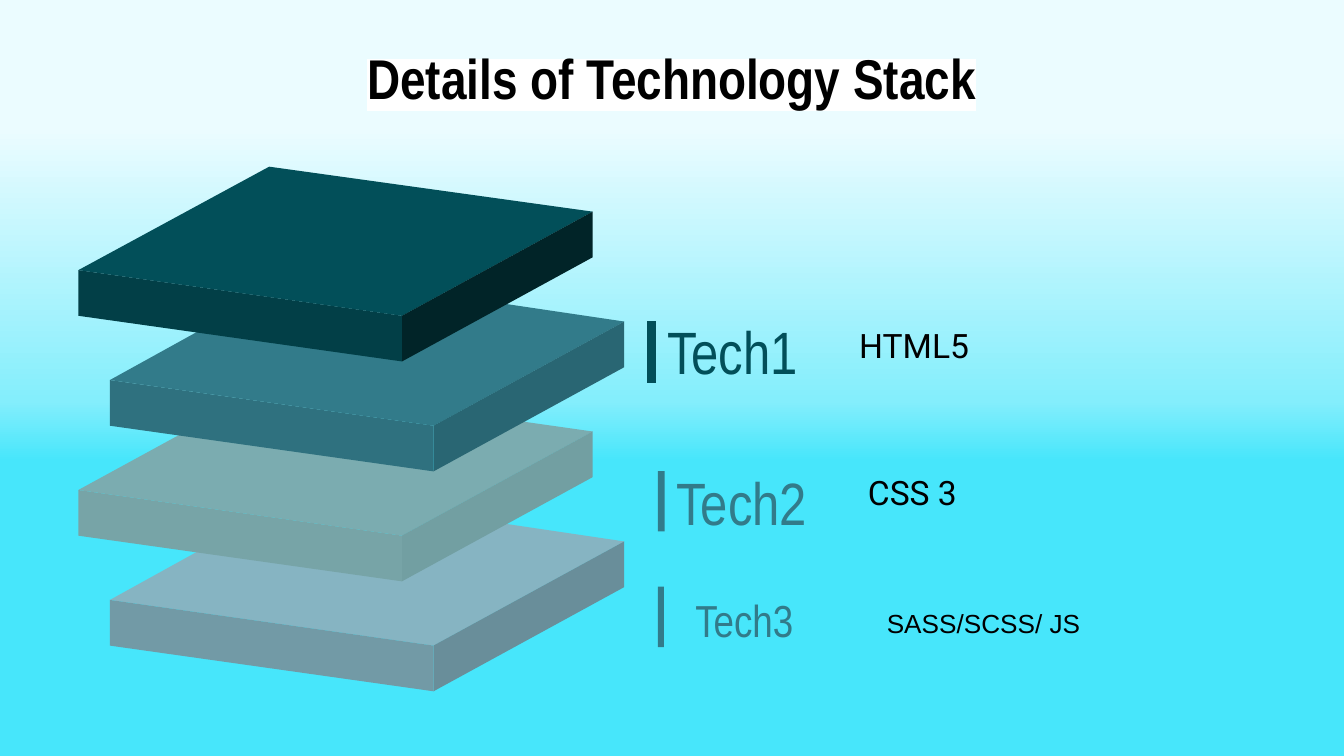
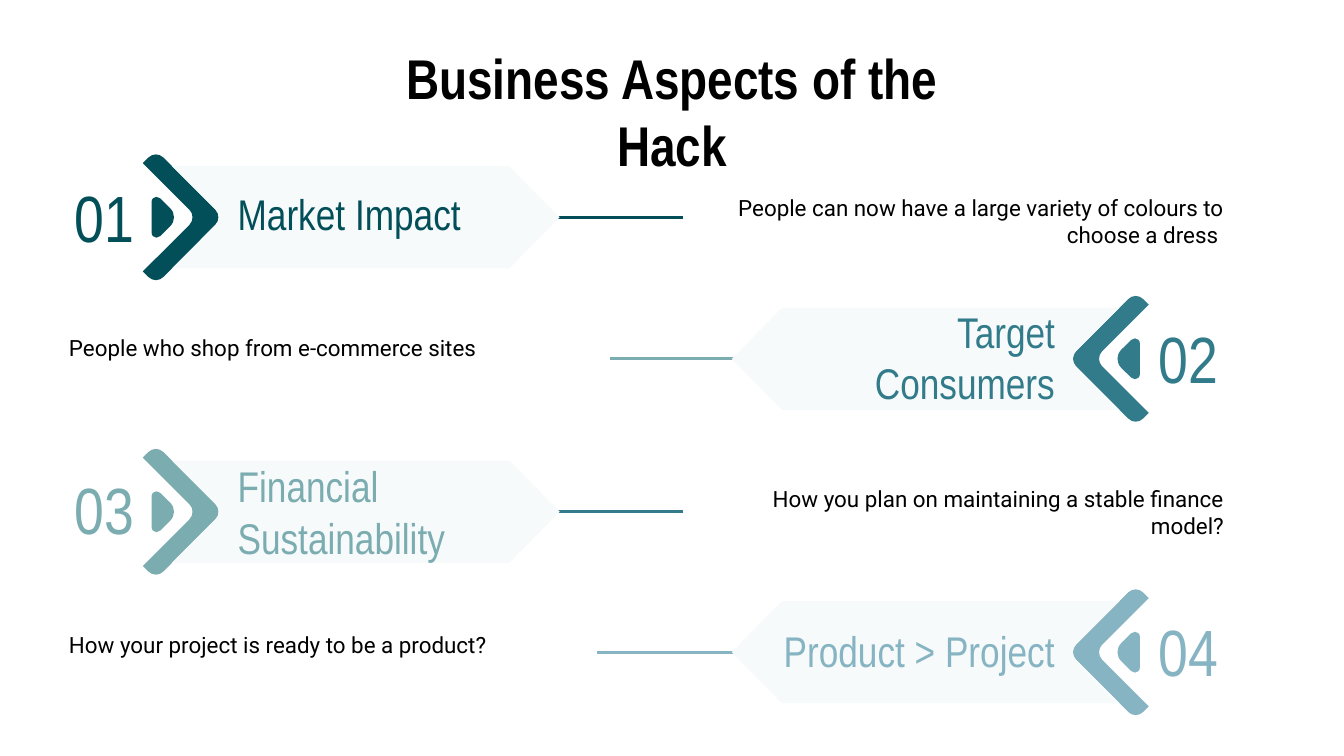
from dataclasses import dataclass
from typing import NamedTuple

from lxml.etree import SubElement
from pptx import Presentation
from pptx.dml.color import RGBColor
from pptx.enum.shapes import MSO_CONNECTOR as Connector, MSO_SHAPE as Preset
from pptx.enum.text import MSO_ANCHOR as Anchor, MSO_AUTO_SIZE as AutoSize, PP_ALIGN as Align
from pptx.oxml.ns import qn
from pptx.util import Inches, Pt

COLUMNS = 100
ROWS = 56.25
CELL = Inches(10) / COLUMNS

Point = tuple[float, float]
Segment = tuple[Point, ...]


@dataclass(frozen=True)
class Theme:
    heading_font: str = "Arial Narrow"
    body_font: str = "Roboto"
    plain_font: str = "Arial"
    ink: str = "000000"
    paper: str = "FFFFFF"
    banner: str = "F7FAFB"
    deep: str = "024F59"
    teal: str = "327B8A"
    sage: str = "7BACB0"
    sky: str = "86B4C2"
    gradient: tuple = ((17, "EBFCFF"), (53, "84EEFC"), (61, "47E6FB"), (74, "47E6FB"))
    title_size: int = 30
    number_size: int = 35
    aspect_size: int = 23
    body_size: int = 12
    line_width: float = 1.5


THEME = Theme()


class Box(NamedTuple):
    column: float
    row: float
    columns: float
    rows: float


class TextStyle(NamedTuple):
    font: str
    size: int
    color: str
    align: Align = Align.LEFT
    bold: bool = False
    highlight: str = ""


@dataclass(frozen=True)
class Slab:
    top_color: str
    left_color: str
    right_color: str
    back_edge: tuple[Point, ...]


@dataclass(frozen=True)
class Technology:
    bar: Box
    bar_color: str
    label: str
    label_box: Box
    label_size: int
    detail: str
    detail_box: Box
    detail_font: str
    detail_size: int
    detail_inset: float
    fitted: bool = False


@dataclass(frozen=True)
class Aspect:
    number: str
    name: str
    description: str
    color: str
    line_color: str
    middle: float
    line_start: float
    line_end: float
    number_row: float
    name_row: float
    description_row: float
    name_columns: float = 21.3
    mirrored: bool = False


RIGHT_NOTCH = ((6.7, -3.7), (21.7, -1.6), (29.2, -5.7))
LEFT_NOTCH = ((7.7, -4.2), (26.5, -1.5), (33, -5.1))
SLABS = (
    Slab(THEME.deep, "023F47", "012428", ((14.2, -7.7),)),
    Slab(THEME.teal, "2F717F", "296673", RIGHT_NOTCH),
    Slab(THEME.sage, "77A4A7", "729FA2", LEFT_NOTCH),
    Slab(THEME.sky, "729AA6", "698E9A", RIGHT_NOTCH),
)
SLAB_COLUMNS = (5.83, 8.18)
SLAB_FIRST_ROW = 20.1
SLAB_STEP = 8.18
SLAB_DEPTH = 3.4
FRONT_CORNER = (24.08, 3.4)
RIGHT_CORNER = (38.27, -4.35)

TECHNOLOGIES = (
    Technology(Box(48.15, 23.9, 0.65, 4.6), THEME.deep, "Tech1", Box(48.65, 22.4, 14.2, 5.3), 32,
               "HTML5", Box(62.95, 21.2, 35.6, 8.2), THEME.body_font, 18, 3),
    Technology(Box(48.95, 35.05, 0.5, 4.5), THEME.teal, "Tech2", Box(49.35, 33.65, 14.2, 3.9), 32,
               "CSS 3", Box(63.6, 32.1, 35.6, 8.2), THEME.body_font, 18, 3),
    Technology(Box(48.95, 43.65, 0.45, 4.5), THEME.teal, "Tech3", Box(50.75, 43.6, 10, 5), 24,
               "SASS/SCSS/ JS", Box(65, 44.7, 19, 3.5), THEME.plain_font, 14, 0.5, True),
)

ASPECTS = (
    Aspect("01", "Market Impact",
           "People can now have a large variety of colours to choose a dress ",
           THEME.deep, THEME.deep, 16.17, 50.85, 33.6, 12.2, 12.95, 13.45),
    Aspect("03", "Financial Sustainability",
           "How you plan on maintaining a stable finance model?",
           THEME.sage, THEME.teal, 38.08, 50.85, 38.5, 33.9, 33.2, 35.1),
    Aspect("02", "Target Consumers", "People who shop from e-commerce sites",
           THEME.teal, THEME.sage, 26.7, 62.6, 45.4, 22.65, 21.7, 23.9, mirrored=True),
    Aspect("04", "Product > Project", "How your project is ready to be a product?",
           THEME.sky, THEME.sky, 48.53, 61.7, 44.4, 44.5, 45.5, 45.95, 23.1, True),
)
ART_SPAN = 96.1
TEXT_SPAN = 96.2

CHEVRON = (
    ((11.6, -4.68),),
    ((11.4, -4.68), (11.2, -4.6), (11.05, -4.45)),
    ((10.63, -4.03),),
    ((14.1, -0.56),),
    ((14.4, -0.25), (14.4, 0.25), (14.1, 0.56)),
    ((10.63, 4.03),),
    ((11.05, 4.45),),
    ((11.2, 4.6), (11.4, 4.68), (11.6, 4.68)),
    ((11.8, 4.68), (12, 4.6), (12.15, 4.45)),
    ((16.04, 0.56),),
    ((16.19, 0.41), (16.27, 0.2), (16.27, 0)),
    ((16.27, -0.2), (16.19, -0.41), (16.04, -0.56)),
    ((12.15, -4.45),),
    ((12, -4.6), (11.8, -4.68), (11.6, -4.68)),
)
DOT = (
    ((11.65, -1.52),),
    ((11.46, -1.52), (11.28, -1.37), (11.28, -1.13)),
    ((11.28, 1.13),),
    ((11.28, 1.37), (11.46, 1.52), (11.65, 1.52)),
    ((11.75, 1.52), (11.85, 1.48), (11.93, 1.4)),
    ((12.67, 0.67),),
    ((12.86, 0.48), (12.95, 0.24), (12.95, 0)),
    ((12.95, -0.24), (12.86, -0.48), (12.67, -0.67)),
    ((11.93, -1.4),),
    ((11.85, -1.48), (11.75, -1.52), (11.65, -1.52)),
)
BANNER = (
    ((12.8, -3.8),),
    ((16.04, -0.56),),
    ((16.19, -0.41), (16.27, -0.2), (16.27, 0)),
    ((16.27, 0.2), (16.19, 0.41), (16.04, 0.56)),
    ((12.8, 3.8),),
    ((37.9, 3.8),),
    ((41.65, 0),),
    ((37.9, -3.8),),
)


def cells(count: float) -> int:
    return round(count * CELL)


def paint(shape, color: str) -> None:
    shape.shadow.inherit = False
    shape.fill.solid()
    shape.fill.fore_color.rgb = RGBColor.from_string(color)
    shape.line.fill.background()


def add_outline(shapes, segments: list[Segment], color: str) -> None:
    corners = [(cells(x), cells(y)) for x, y in (segment[-1] for segment in segments)]
    builder = shapes.build_freeform(*corners[0])
    builder.add_line_segments(corners[1:], close=True)
    shape = builder.convert_to_shape()
    paint(shape, color)
    commands = list(shape._element.find(".//" + qn("a:path")))
    for command, segment in zip(commands, segments):
        if len(segment) == 3:
            command.tag_name = None
            curve = SubElement(command.getparent(), qn("a:cubicBezTo"))
            for x, y in segment:
                SubElement(curve, qn("a:pt"), x=str(cells(x) - shape.left),
                           y=str(cells(y) - shape.top))
            command.getparent().replace(command, curve)


def add_text(shapes, text: str, box: Box, style: TextStyle,
             top_inset: float = 1, fitted: bool = False) -> None:
    shape = shapes.add_textbox(*map(cells, box))
    frame = shape.text_frame
    frame.word_wrap = True
    frame.vertical_anchor = Anchor.TOP
    frame.auto_size = AutoSize.SHAPE_TO_FIT_TEXT if fitted else AutoSize.NONE
    frame.margin_left = frame.margin_right = cells(1)
    frame.margin_top = cells(top_inset)
    frame.margin_bottom = cells(0.5 if fitted else 1)
    paragraph = frame.paragraphs[0]
    paragraph.alignment = style.align
    run = paragraph.add_run()
    run.text = text
    run.font.name = style.font
    run.font.size = Pt(style.size)
    run.font.bold = style.bold
    run.font.color.rgb = RGBColor.from_string(style.color)
    if style.highlight:
        properties = run.font._element
        highlight = SubElement(properties, qn("a:highlight"))
        SubElement(highlight, qn("a:srgbClr"), val=style.highlight)
        properties.find(qn("a:solidFill")).addnext(highlight)


def add_title(slide, text: str) -> None:
    add_text(slide.shapes, text, Box(25.3, 2.25, 49.4, 6.8),
             TextStyle(THEME.heading_font, THEME.title_size, THEME.ink,
                       Align.CENTER, True, THEME.paper))


def add_gradient(slide) -> None:
    fill = slide.background.fill
    fill.gradient()
    fill.gradient_angle = 270
    stops = slide.element.find(".//" + qn("a:gsLst"))
    for stop in list(stops):
        stops.remove(stop)
    for position, color in THEME.gradient:
        stop = SubElement(stops, qn("a:gs"), pos=str(position * 1000))
        SubElement(stop, qn("a:srgbClr"), val=color)


def add_slab(shapes, slab: Slab, column: float, row: float) -> None:
    def lowered(point: Point) -> Point:
        return point[0], point[1] + SLAB_DEPTH

    corner = (0, 0)
    faces = (
        ((corner, *slab.back_edge, RIGHT_CORNER, FRONT_CORNER), slab.top_color),
        ((FRONT_CORNER, RIGHT_CORNER, lowered(RIGHT_CORNER), lowered(FRONT_CORNER)),
         slab.right_color),
        ((corner, FRONT_CORNER, lowered(FRONT_CORNER), lowered(corner)), slab.left_color),
    )
    for points, color in faces:
        add_outline(shapes, [((column + x, row + y),) for x, y in points], color)


def add_technology(shapes, technology: Technology) -> None:
    bar = shapes.add_shape(Preset.RECTANGLE, *map(cells, technology.bar))
    paint(bar, technology.bar_color)
    add_text(shapes, technology.label, technology.label_box,
             TextStyle(THEME.heading_font, technology.label_size, technology.bar_color),
             0.5 if technology.fitted else 1, technology.fitted)
    add_text(shapes, technology.detail, technology.detail_box,
             TextStyle(technology.detail_font, technology.detail_size, THEME.ink),
             technology.detail_inset, technology.fitted)


def add_aspect(slide, aspect: Aspect) -> None:
    shapes = slide.shapes.add_group_shape().shapes
    middle = aspect.middle

    def placed(column: float) -> float:
        return ART_SPAN - column if aspect.mirrored else column

    def text_box(column: float, row: float, columns: float, rows: float) -> Box:
        left = TEXT_SPAN - column - columns if aspect.mirrored else column
        return Box(left, row, columns, rows)

    line = shapes.add_connector(Connector.STRAIGHT, cells(aspect.line_start), cells(middle),
                                cells(aspect.line_end), cells(middle))
    line.line.color.rgb = RGBColor.from_string(aspect.line_color)
    line.line.width = Pt(THEME.line_width)
    SubElement(line._element.spPr, qn("a:effectLst"))

    for outline, color in ((CHEVRON, aspect.color), (DOT, aspect.color), (BANNER, THEME.banner)):
        segments = [tuple((placed(x), middle + y) for x, y in segment) for segment in outline]
        add_outline(shapes, segments, color)

    near, far = (Align.RIGHT, Align.LEFT) if aspect.mirrored else (Align.LEFT, Align.RIGHT)
    texts = (
        (aspect.name, text_box(16.7, aspect.name_row, aspect.name_columns, 3.9),
         TextStyle(THEME.heading_font, THEME.aspect_size, aspect.color, near)),
        (aspect.number, text_box(4.2, aspect.number_row, 7.1, 7.4),
         TextStyle(THEME.heading_font, THEME.number_size, aspect.color, Align.CENTER)),
        (aspect.description, text_box(50.85, aspect.description_row, 41.2, 5.7),
         TextStyle(THEME.body_font, THEME.body_size, THEME.ink, far)),
    )
    for text, box, style in texts:
        add_text(shapes, text, box, style)


def build_stack(slide) -> None:
    add_gradient(slide)
    for index, slab in reversed(list(enumerate(SLABS))):
        add_slab(slide.shapes, slab, SLAB_COLUMNS[index % 2], SLAB_FIRST_ROW + index * SLAB_STEP)
    add_title(slide, "Details of Technology Stack")
    for technology in TECHNOLOGIES:
        add_technology(slide.shapes, technology)


def build_aspects(slide) -> None:
    slide.background.fill.solid()
    slide.background.fill.fore_color.rgb = RGBColor.from_string(THEME.paper)
    add_title(slide, "Business Aspects of the Hack")
    for aspect in ASPECTS:
        add_aspect(slide, aspect)


def main() -> None:
    presentation = Presentation()
    presentation.slide_width = cells(COLUMNS)
    presentation.slide_height = cells(ROWS)
    blank = presentation.slide_layouts[6]
    for build in (build_stack, build_aspects):
        build(presentation.slides.add_slide(blank))
    presentation.save("out.pptx")


if __name__ == "__main__":
    main()
